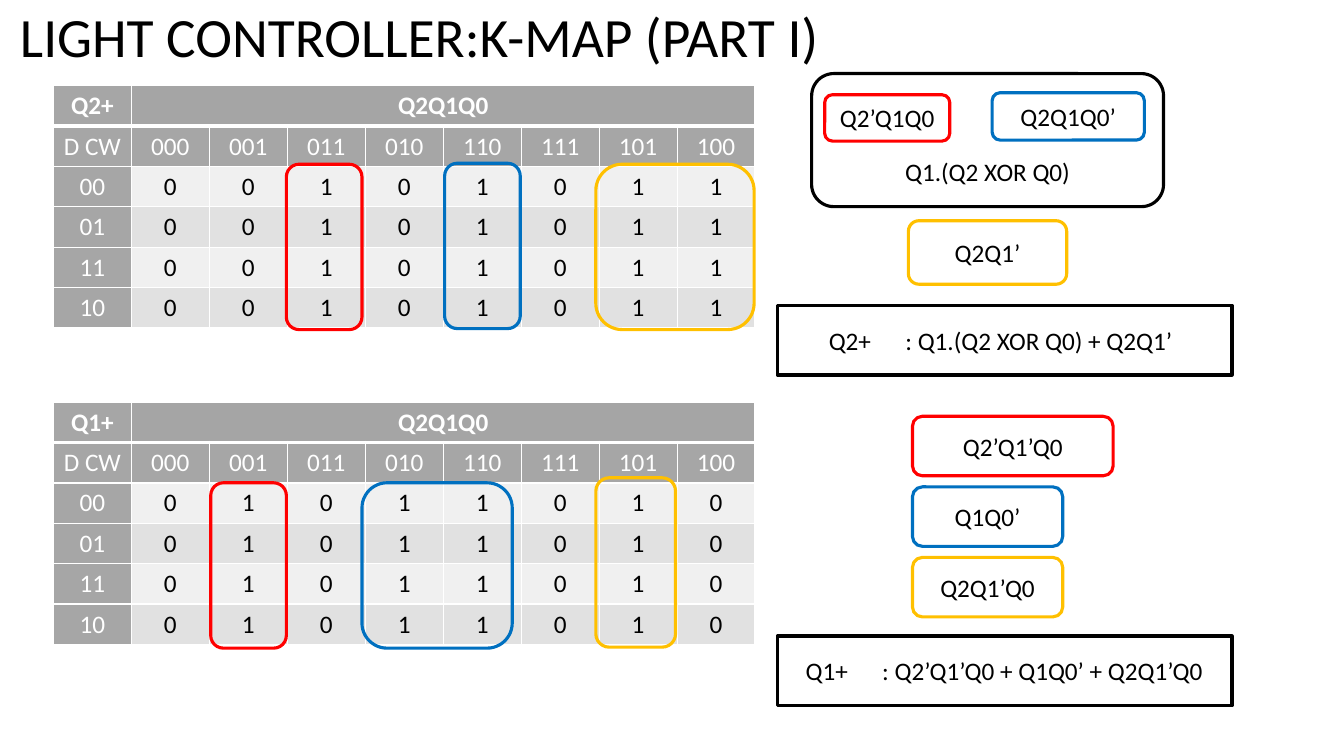
from lxml.etree import SubElement
from pptx import Presentation
from pptx.dml.color import RGBColor
from pptx.enum.shapes import MSO_SHAPE as Shape
from pptx.enum.text import MSO_ANCHOR as Anchor, PP_ALIGN as Align
from pptx.oxml.ns import qn
from pptx.util import Inches, Pt

BLACK = RGBColor(0x00, 0x00, 0x00)
WHITE = RGBColor(0xFF, 0xFF, 0xFF)
RED = RGBColor(0xFF, 0x00, 0x00)
BLUE = RGBColor(0x00, 0x70, 0xC0)
GOLD = RGBColor(0xFF, 0xC0, 0x00)
HEADER = RGBColor(0xA6, 0xA6, 0xA6)
SPAN_HEADER = RGBColor(0xA5, 0xA5, 0xA5)
BANDS = (RGBColor(0xF0, 0xF0, 0xF0), RGBColor(0xE1, 0xE1, 0xE1))

STATES = ["000", "001", "011", "010", "110", "111", "101", "100"]
INPUTS = ["00", "01", "11", "10"]


class KMapSlide:
    font = "Calibri"
    size = 18
    line_width = Pt(2.25)

    def __init__(self, deck):
        self.slide = deck.slides.add_slide(deck.slide_layouts[6])

    def label(self, frame, text, color=BLACK, size=None, bold=False, align=Align.CENTER):
        frame.text = text
        paragraph = frame.paragraphs[0]
        paragraph.alignment = align
        for run in paragraph.runs:
            run.font.name = self.font
            run.font.size = Pt(size or self.size)
            run.font.bold = bold
            run.font.color.rgb = color
        return paragraph

    def title(self, text, left, top, width, height):
        box = self.slide.shapes.add_textbox(*map(Inches, (left, top, width, height)))
        box.text_frame.word_wrap = True
        box.text_frame.vertical_anchor = Anchor.MIDDLE
        heading = self.label(box.text_frame, text, size=39.6, align=Align.LEFT)
        heading.line_spacing = 0.9

    def outline(self, color, left, top, width, height, text="", kind=Shape.ROUNDED_RECTANGLE):
        frame = self.slide.shapes.add_shape(kind, *map(Inches, (left, top, width, height)))
        frame.shadow.inherit = False
        frame.fill.background()
        frame.line.color.rgb = color
        frame.line.width = self.line_width
        if text:
            frame.text_frame.vertical_anchor = Anchor.MIDDLE
            self.label(frame.text_frame, text)
        return frame

    def equation(self, top, output, expression, indent):
        """Boxed result, with the colon set on a tab stop."""
        box = self.outline(BLACK, 7.71, top, 4.51, 0.69, f"{output}\t: {expression}",
                           Shape.RECTANGLE)
        box.text_frame.margin_left = Inches(indent)
        line = box.text_frame.paragraphs[0]
        line.alignment = Align.LEFT
        stops = SubElement(line._p.get_or_add_pPr(), qn("a:tabLst"))
        SubElement(stops, qn("a:tab"), pos=str(Inches(0.76)), algn="l")

    def cell(self, cell, text, fill, color=WHITE, bold=False, bottom=1):
        self.label(cell.text_frame, text, color, bold=bold)
        props = cell._tc.get_or_add_tcPr()
        for side, width in (("lnL", 1), ("lnR", 1), ("lnT", 1), ("lnB", bottom)):
            border = SubElement(props, qn(f"a:{side}"), w=str(Pt(width)))
            solid = SubElement(border, qn("a:solidFill"))
            SubElement(solid, qn("a:srgbClr"), val=str(WHITE))
        cell.fill.solid()
        cell.fill.fore_color.rgb = fill

    def k_map(self, top, output, values):
        """Map whose four input rows all hold the same values."""
        grid = self.slide.shapes.add_table(
            len(INPUTS) + 2, len(STATES) + 1,
            *map(Inches, (0.53, top, 6.96, 2.4))).table
        for column, text in enumerate([output, "Q2Q1Q0"] + [""] * 7):
            self.cell(grid.cell(0, column), text, SPAN_HEADER if column else HEADER,
                      bold=True, bottom=3)
        grid.cell(0, 1).merge(grid.cell(0, len(STATES)))
        for column, text in enumerate(["D CW"] + STATES):
            self.cell(grid.cell(1, column), text, HEADER)
        for row, inputs in enumerate(INPUTS):
            self.cell(grid.cell(row + 2, 0), inputs, HEADER)
            for column, value in enumerate(values, start=1):
                self.cell(grid.cell(row + 2, column), value, BANDS[row % 2], BLACK)


def main():
    deck = Presentation()
    deck.slide_width, deck.slide_height = Inches(13.33), Inches(7.5)
    page = KMapSlide(deck)
    page.title("LIGHT CONTROLLER:K-MAP (PART I)", 0.1, 0.1, 11.5, 0.58)

    # Maps
    page.k_map(0.85, "Q2+", "00101011")
    page.k_map(3.99, "Q1+", "01011010")

    # Groups ringed in the Q2+ map
    page.outline(RED, 2.84, 1.63, 0.75, 1.64)
    page.outline(BLUE, 4.41, 1.62, 0.75, 1.64)
    page.outline(GOLD, 5.91, 1.63, 1.57, 1.64)

    # Terms and result for Q2+
    page.outline(RED, 8.18, 0.94, 1.24, 0.46, "Q2’Q1Q0")
    page.outline(BLUE, 9.84, 0.92, 1.51, 0.47, "Q2Q1Q0’")
    page.outline(GOLD, 9.01, 2.19, 1.57, 0.63, "Q2Q1’")
    combined = page.outline(BLACK, 8.05, 0.73, 3.49, 1.32, "Q1.(Q2 XOR Q0)").text_frame
    combined.vertical_anchor = Anchor.BOTTOM
    combined.margin_bottom = Inches(0.13)
    page.equation(3.03, "Q2+", "Q1.(Q2 XOR Q0) + Q2Q1’", 0.51)

    # Groups ringed in the Q1+ map
    page.outline(RED, 2.09, 4.79, 0.75, 1.64)
    page.outline(BLUE, 3.59, 4.79, 1.49, 1.64)
    page.outline(GOLD, 5.91, 4.74, 0.79, 1.68)

    # Terms and result for Q1+
    terms = [(RED, 1.99, "Q2’Q1’Q0"), (BLUE, 1.49, "Q1Q0’"), (GOLD, 1.49, "Q2Q1’Q0")]
    for row, (color, width, term) in enumerate(terms):
        page.outline(color, 9.05, 4.13 + 0.7 * row, width, 0.59, term)
    page.equation(6.31, "Q1+", "Q2’Q1’Q0 + Q1Q0’ + Q2Q1’Q0", 0.28)

    deck.save("out.pptx")


if __name__ == "__main__":
    main()
